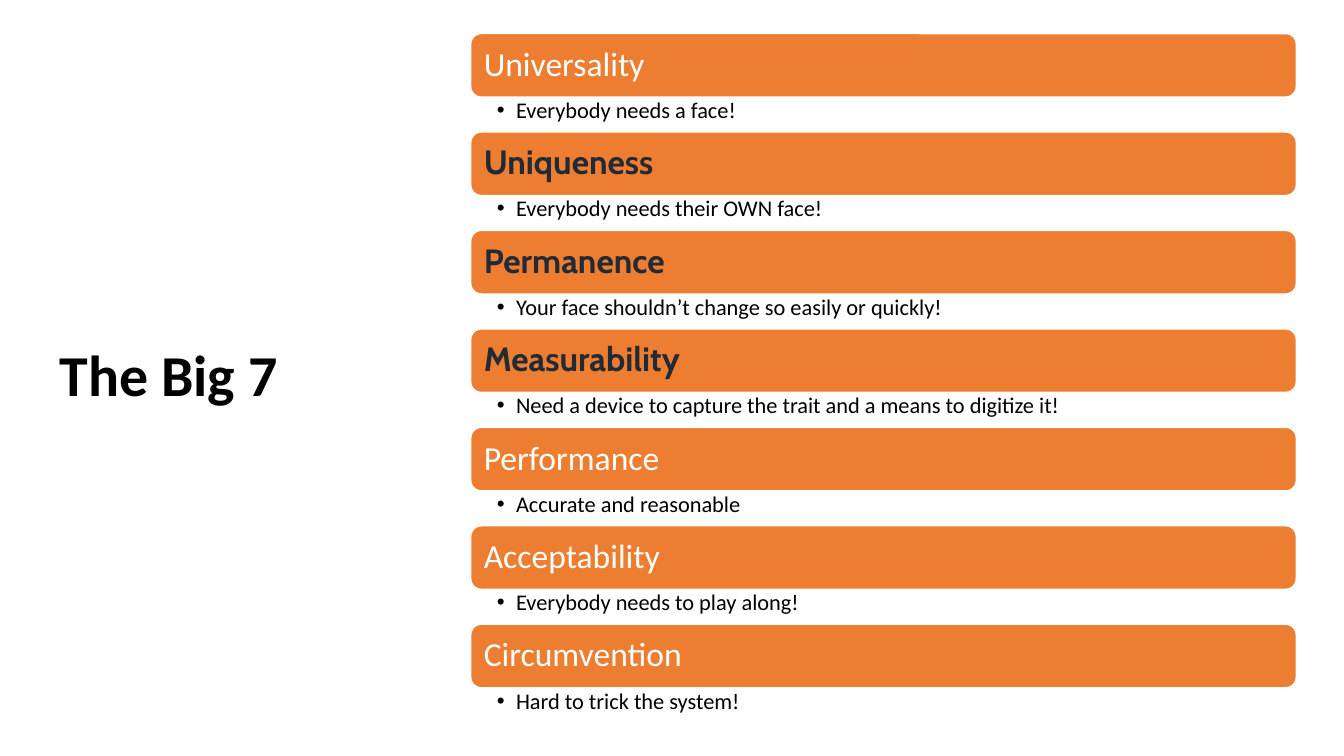
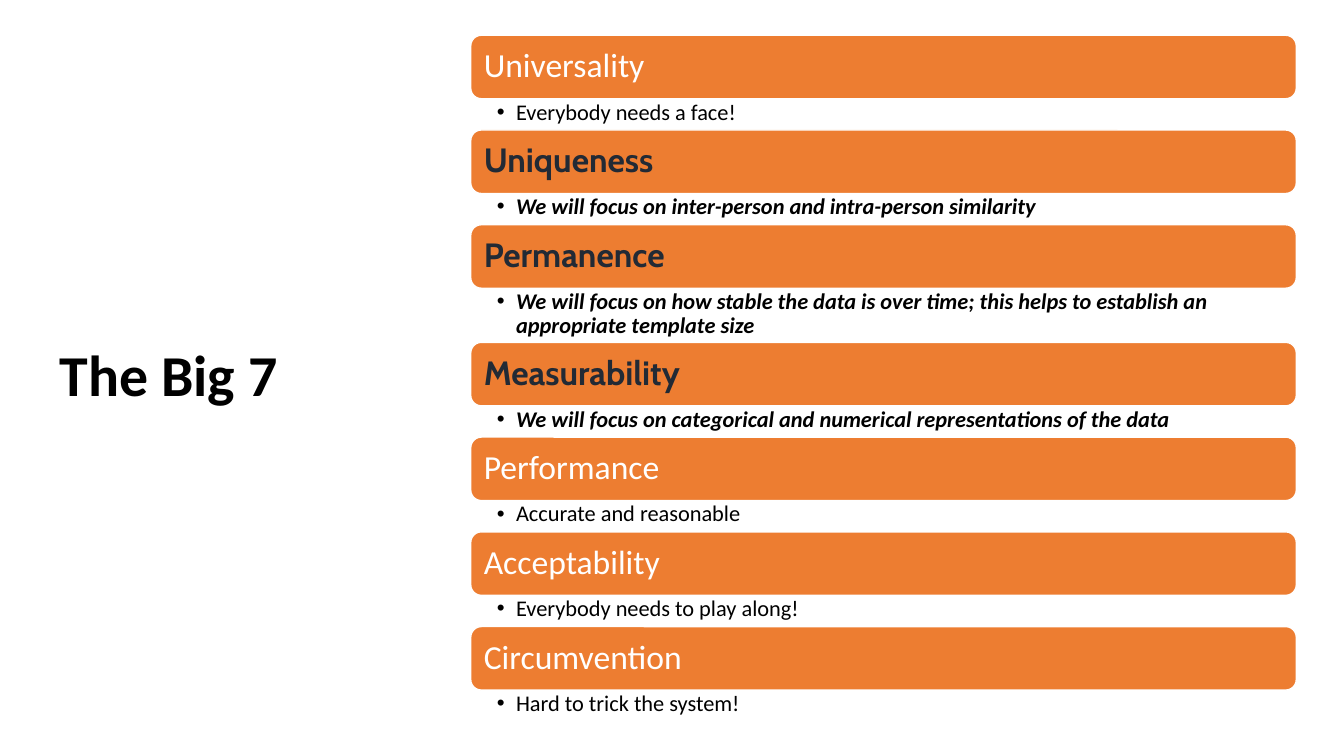
from dataclasses import dataclass

from lxml import etree
from pptx import Presentation
from pptx import util as u
from pptx.dml.color import RGBColor
from pptx.enum import shapes, text
from pptx.oxml.ns import qn

PX = 3048  # EMU in one px, 300 px to the inch


@dataclass(frozen=True)
class Theme:
    orange: str = "ED7D31"
    white: str = "FFFFFF"
    black: str = "000000"
    navy: str = "222A35"
    body_font: str = "Calibri"
    accent_font: str = "Cabin"
    title_size: float = 41.3
    bar_size: int = 24
    note_size: int = 16


T = Theme()

SLIDE_W, SLIDE_H = 4000, 2250
TITLE_BOX = (147, 204, 1299, 1839)
LIST_X, LIST_W, BAR_H = 1401, 2457, 189
INDENT = 57
BAR_INSETS = (30, 30, 30, 30)
NOTE_INSETS = (78, 6, 36, 6)

TITLE = "The Big 7"
FOCUS = {"Uniqueness", "Permanence", "Measurability"}
DEFINITIONS = {
    "Universality": "Everybody needs a face!",
    "Uniqueness": "Everybody needs their OWN face!",
    "Permanence": "Your face shouldn’t change so easily or quickly!",
    "Measurability": "Need a device to capture the trait and a means to digitize it!",
    "Performance": "Accurate and reasonable",
    "Acceptability": "Everybody needs to play along!",
    "Circumvention": "Hard to trick the system!",
}
FOCUS_NOTES = {
    "Uniqueness": "We will focus on inter-person and intra-person similarity",
    "Permanence": "We will focus on how stable the data is over time; "
                  "this helps to establish an appropriate template size",
    "Measurability": "We will focus on categorical and numerical "
                     "representations of the data",
}


def px(*lengths):
    return [u.Emu(n * PX) for n in lengths]


def rgb(color):
    return RGBColor.from_string(color)


def set_frame(tf, insets, anchor):
    tf.word_wrap = True
    tf.auto_size = text.MSO_AUTO_SIZE.NONE
    tf.vertical_anchor = anchor
    tf.margin_left, tf.margin_top, tf.margin_right, tf.margin_bottom = px(*insets)


def write(p, words, size, color, font=T.body_font, bold=False, italic=False):
    p.alignment = text.PP_ALIGN.LEFT
    p.line_spacing = 0.9
    r = p.add_run()
    r.text = words
    f = r.font
    f.name, f.size, f.bold, f.italic = font, u.Pt(size), bold, italic
    f.color.rgb = rgb(color)


def add_bullet(p):
    pPr = p._p.get_or_add_pPr()
    pPr.set("marL", str(INDENT * PX))
    pPr.set("indent", str(-INDENT * PX))
    etree.SubElement(pPr, qn("a:buFont")).set("typeface", "Arial")
    etree.SubElement(pPr, qn("a:buChar")).set("char", "•")


def add_title(s):
    sp = s.shapes.title
    sp.left, sp.top, sp.width, sp.height = px(*TITLE_BOX)
    set_frame(sp.text_frame, (30, 15, 30, 15), text.MSO_ANCHOR.MIDDLE)
    write(sp.text_frame.paragraphs[0], TITLE, T.title_size, T.black, bold=True)


def add_bar(s, y, trait):
    sp = s.shapes.add_shape(shapes.MSO_SHAPE.ROUNDED_RECTANGLE,
                            *px(LIST_X, y, LIST_W, BAR_H))
    sp.shadow.inherit = False
    sp.fill.solid()
    sp.fill.fore_color.rgb = rgb(T.orange)
    sp.line.color.rgb = rgb(T.white)
    sp.line.width = u.Pt(1)
    set_frame(sp.text_frame, BAR_INSETS, text.MSO_ANCHOR.MIDDLE)
    p = sp.text_frame.paragraphs[0]
    if trait in FOCUS:
        write(p, trait, T.bar_size, T.navy, T.accent_font, bold=True)
    else:
        write(p, trait, T.bar_size, T.white)


def add_note(s, y, height, words, strong):
    sp = s.shapes.add_textbox(*px(LIST_X, y, LIST_W, height))
    set_frame(sp.text_frame, NOTE_INSETS, text.MSO_ANCHOR.TOP)
    p = sp.text_frame.paragraphs[0]
    p.level = 1
    write(p, words, T.note_size, T.black, bold=strong, italic=strong)
    add_bullet(p)


def add_traits_slide(prs, top, note_h, focus_notes, tall_notes):
    """Stack a bar and a note per trait; focus_notes replace definitions."""
    s = prs.slides.add_slide(prs.slide_layouts[5])
    add_title(s)
    y = top
    for trait, definition in DEFINITIONS.items():
        height = tall_notes.get(trait, note_h)
        add_bar(s, y, trait)
        add_note(s, y + BAR_H, height, focus_notes.get(trait, definition),
                 trait in focus_notes)
        y += BAR_H + height


def main():
    prs = Presentation()
    prs.slide_width, prs.slide_height = px(SLIDE_W, SLIDE_H)
    add_traits_slide(prs, 100, 104, {}, {})
    add_traits_slide(prs, 105, 93, FOCUS_NOTES, {"Permanence": 161})
    prs.save("out.pptx")


if __name__ == "__main__":
    main()
